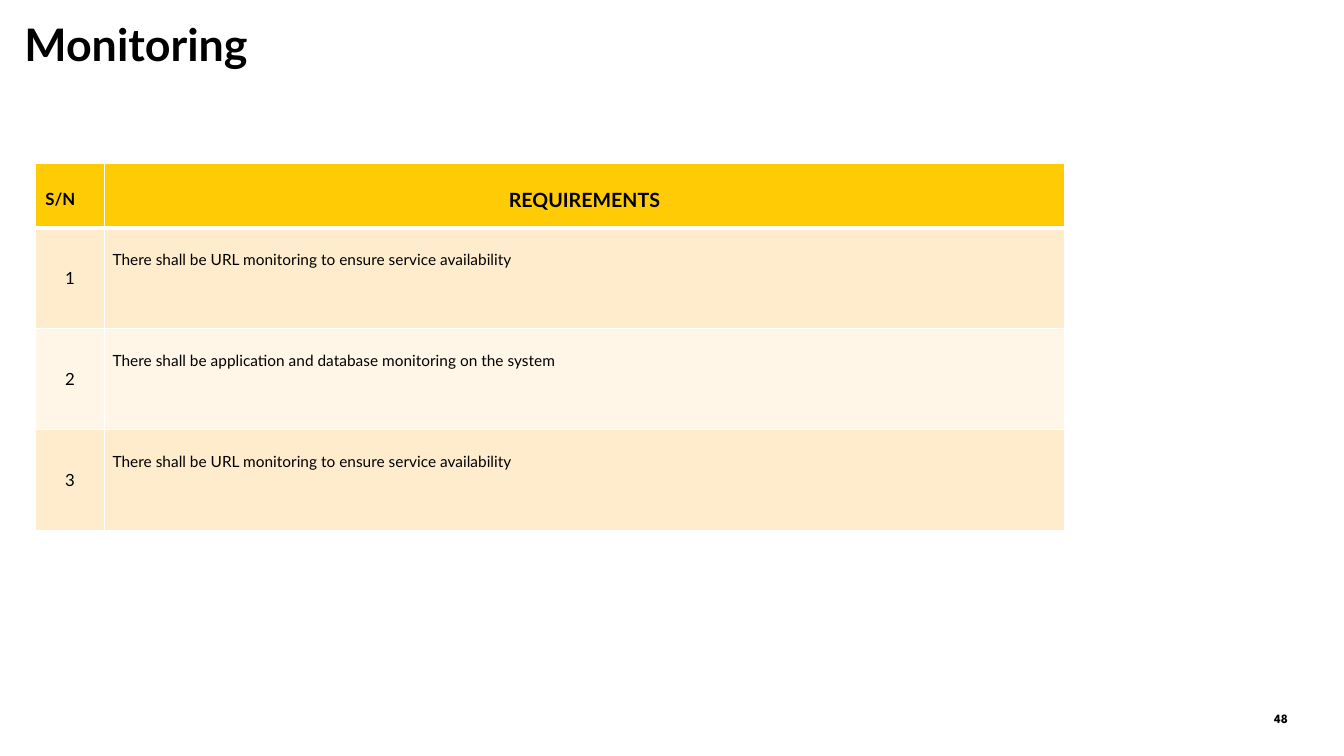
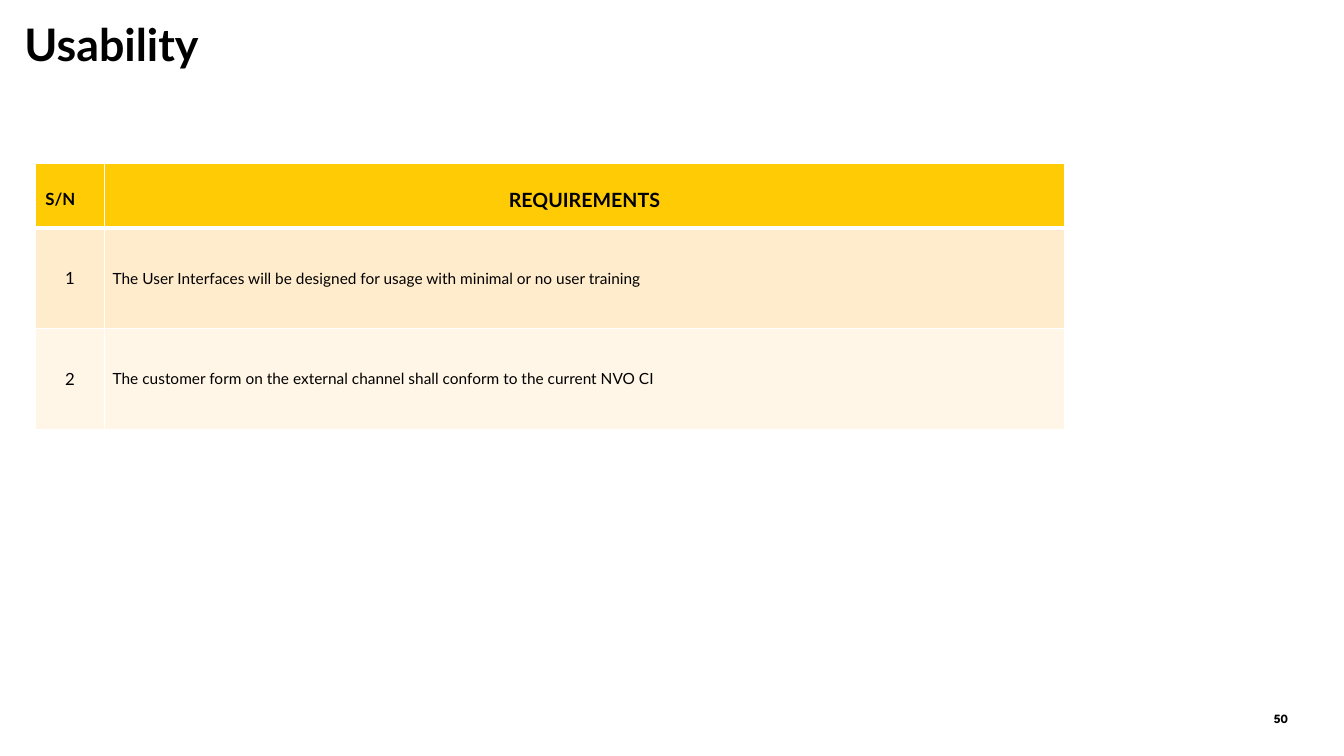
"""Build the Monitoring and Usability requirement slides."""
import pptx
import pptx.dml.color
import pptx.enum.shapes
import pptx.enum.text
import pptx.oxml
import pptx.oxml.ns
import pptx.util

Cm = pptx.util.Cm
Pt = pptx.util.Pt
ALIGN = pptx.enum.text.PP_ALIGN
ANCHOR = pptx.enum.text.MSO_ANCHOR

BLACK, WHITE, YELLOW = "000000", "FFFFFF", "FFCB05"
BANDS = ["FFECCC", "FFF6E7"]
COLUMN_WIDTHS = [Cm(1.75), Cm(24.18)]
HEADER_HEIGHT, ROW_HEIGHT = Cm(1.63), Cm(2.54)
TITLE_FONT = {"name": "Lato", "size": Pt(32), "bold": True}
PAGE_FONT = {"name": "League Spartan", "size": Pt(9), "bold": True}
TITLE_FRAME = {"vertical_anchor": ANCHOR.TOP, "word_wrap": True,
               "auto_size": pptx.enum.text.MSO_AUTO_SIZE.NONE}
PAGE_FRAME = {"vertical_anchor": ANCHOR.MIDDLE, "margin_left": 0, "margin_right": 0,
              "margin_top": 0, "margin_bottom": 0}
HEADER_CELL = {"vertical_anchor": ANCHOR.TOP, "margin_top": Cm(0.64)}
NUMBER_CELL = {"vertical_anchor": ANCHOR.MIDDLE}
REQUIREMENT_CELL = {"vertical_anchor": ANCHOR.MIDDLE, "margin_left": Cm(0.2),
                    "margin_right": Cm(0.2)}

SECTIONS = [
    {"title": "Monitoring", "title_width": Cm(6.86), "page": "48",
     "bottom_margin": Cm(1.05),
     "requirements": ["There shall be URL monitoring to ensure service availability",
                      "There shall be application and database monitoring on the system",
                      "There shall be URL monitoring to ensure service availability"]},
    {"title": "Usability", "title_width": Cm(5.61), "page": "50",
     "bottom_margin": Cm(0.13),
     "requirements": ["The User Interfaces will be designed for usage with minimal or no user training",
                      "The customer form on the external channel shall conform to the current NVO CI"]},
]


def paint(color_format, hex_color):
    color_format.rgb = pptx.dml.color.RGBColor.from_string(hex_color)


def write(holder, text, frame_format, font_format, alignment):
    for attribute, value in frame_format.items():
        setattr(holder, attribute, value)
    frame = getattr(holder, "text_frame", holder)
    frame.text = text
    paragraph = frame.paragraphs[0]
    paragraph.alignment = alignment
    font = paragraph.runs[0].font
    for attribute, value in font_format.items():
        setattr(font, attribute, value)
    paint(font.color, BLACK)


deck = pptx.Presentation()
deck.slide_width, deck.slide_height = Cm(33.87), Cm(19.05)
title_only = deck.slide_layouts[5]

for section in SECTIONS:
    slide = deck.slides.add_slide(title_only)

    page_badge = slide.shapes.add_shape(pptx.enum.shapes.MSO_SHAPE.OVAL,
                                        Cm(31.42), Cm(17.75), Cm(1.73), Cm(0.69))
    page_badge.shadow.inherit = False
    page_badge.fill.solid()
    paint(page_badge.fill.fore_color, WHITE)
    page_badge.line.fill.background()
    write(page_badge.text_frame, section["page"], PAGE_FRAME, PAGE_FONT, ALIGN.CENTER)

    heading = slide.shapes.title
    heading.left, heading.top = Cm(0.36), Cm(0.3)
    heading.width, heading.height = section["title_width"], Cm(1.63)
    write(heading.text_frame, section["title"], TITLE_FRAME, TITLE_FONT, ALIGN.LEFT)

    requirements = section["requirements"]
    grid = slide.shapes.add_table(len(requirements) + 1, 2, Cm(0.89), Cm(4.11),
                                  sum(COLUMN_WIDTHS),
                                  HEADER_HEIGHT + ROW_HEIGHT * len(requirements)).table
    for column, width in zip(grid.columns, COLUMN_WIDTHS):
        column.width = width
    for index, row in enumerate(grid.rows):
        row.height = ROW_HEIGHT if index else HEADER_HEIGHT

    requirement_cell = {**REQUIREMENT_CELL, "margin_bottom": section["bottom_margin"]}
    rows = [[("S/N", HEADER_CELL, 12, ALIGN.LEFT),
             ("REQUIREMENTS", HEADER_CELL, 14, ALIGN.CENTER)]]
    for number, requirement in enumerate(requirements, 1):
        rows.append([(str(number), NUMBER_CELL, 12, ALIGN.CENTER),
                     (requirement, requirement_cell, 11, ALIGN.LEFT)])

    for row_index, row in enumerate(rows):
        is_header = row_index == 0
        band = YELLOW if is_header else BANDS[(row_index - 1) % 2]
        border_widths = {"lnL": 1, "lnR": 1, "lnT": 3 if row_index == 1 else 1,
                         "lnB": 3 if is_header else 1}
        for column_index, (text, cell_format, size, alignment) in enumerate(row):
            cell = grid.cell(row_index, column_index)
            cell_font = {"name": "Lato", "size": Pt(size), "bold": is_header}
            write(cell, text, cell_format, cell_font, alignment)
            properties = cell._tc.get_or_add_tcPr()
            for side, width in border_widths.items():
                properties.append(pptx.oxml.parse_xml(
                    f'<a:{side} {pptx.oxml.ns.nsdecls("a")} w="{Pt(width)}"><a:solidFill>'
                    f'<a:srgbClr val="{WHITE}"/></a:solidFill></a:{side}>'))
            cell.fill.solid()
            paint(cell.fill.fore_color, band)

deck.save("out.pptx")
